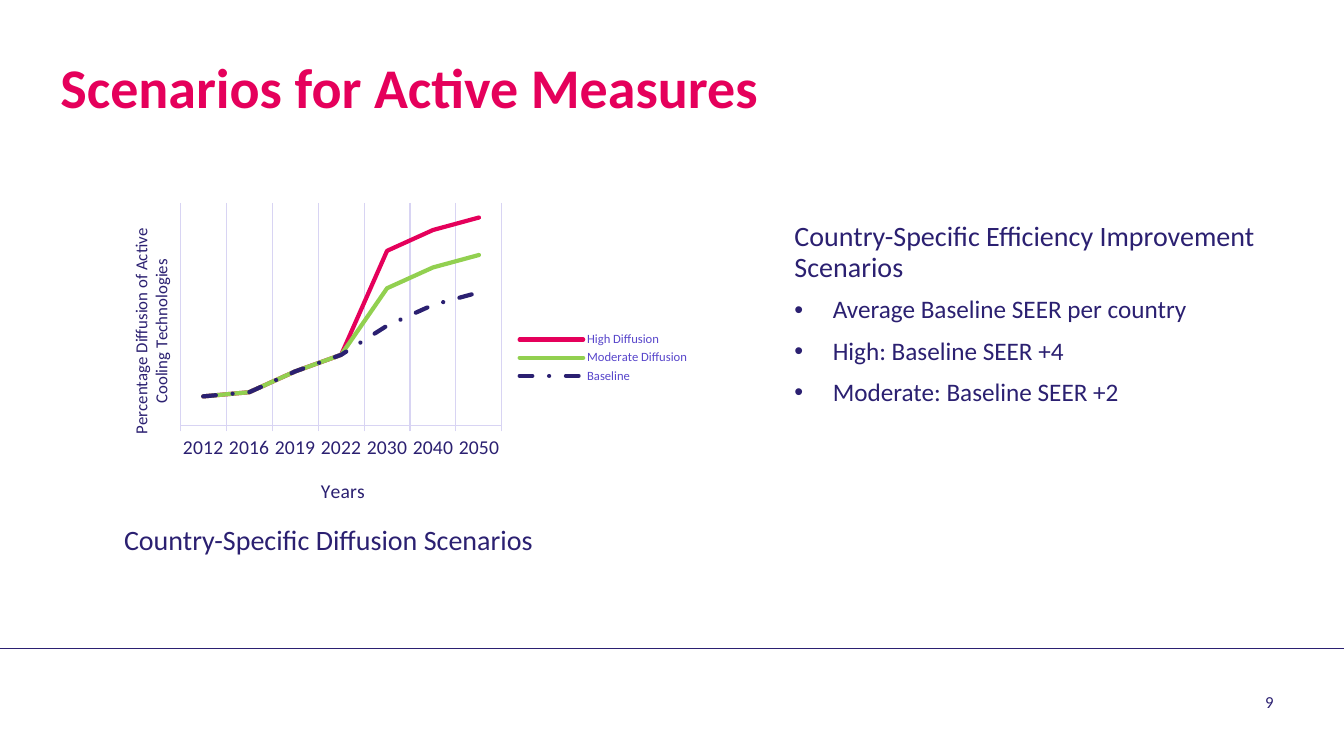
import pptx
import pptx.chart.data
import pptx.dml.color
import pptx.enum.chart
import pptx.enum.dml
import pptx.enum.text
import pptx.util
from lxml import etree
from pptx.oxml.ns import qn

Inches, Pt = pptx.util.Inches, pptx.util.Pt
ALIGN = pptx.enum.text.PP_ALIGN
ANCHOR = pptx.enum.text.MSO_ANCHOR

FONT = "Calibri"
COLORS = {"navy": "2B2071", "pink": "E5005B", "green": "92D050",
          "violet": "5846CB", "grid": "D8D4F3"}

TITLE = "Scenarios for Active Measures"
CAPTION = "Country-Specific Diffusion Scenarios"
EFFICIENCY_HEADING = "Country-Specific Efficiency Improvement Scenarios"
EFFICIENCY_SCENARIOS = [
    "Average Baseline SEER per country",
    "High: Baseline SEER +4",
    "Moderate: Baseline SEER +2",
]
PAGE_NUMBER = "9"
YEARS = ["2012", "2016", "2019", "2022", "2030", "2040", "2050"]
DIFFUSION = [
    ("High Diffusion", "pink", None, (14, 16, 26, 34, 84, 94, 100)),
    ("Moderate Diffusion", "green", None, (14, 16, 26, 34, 66, 76, 82)),
    ("Baseline", "navy", pptx.enum.dml.MSO_LINE.DASH_DOT,
     (14, 16, 26, 34, 48, 58, 64)),
]
AXIS_MAX = 107
YEARS_TITLE = "Years"
DIFFUSION_TITLE = "Percentage Diffusion of Active\nCooling Technologies"


def rgb(name):
    return pptx.dml.color.RGBColor.from_string(COLORS[name])


def style_font(font, size, color="navy", bold=False):
    font.name = FONT
    font.size = Pt(size)
    font.bold = bold
    font.color.rgb = rgb(color)


def style_line(line, color, width):
    line.color.rgb = rgb(color)
    line.width = Pt(width)


def add_text(box, paragraphs, inset=0, anchor=ANCHOR.TOP, align=ALIGN.LEFT,
             line_spacing=0.9, space_before=0):
    frame = slide.shapes.add_textbox(*map(Inches, box)).text_frame
    frame.word_wrap = True
    frame.vertical_anchor = anchor
    frame.margin_left = frame.margin_right = Inches(inset)
    frame.margin_top = frame.margin_bottom = Inches(inset / 2)
    for index, (text, size, color, bold) in enumerate(paragraphs):
        paragraph = frame.add_paragraph() if index else frame.paragraphs[0]
        paragraph.text = text
        paragraph.alignment = align
        paragraph.line_spacing = line_spacing
        paragraph.space_before = Pt(space_before)
        style_font(paragraph.font, size, color, bold)
    return frame


def add_bullet(paragraph):
    properties = paragraph._p.get_or_add_pPr()
    properties.set("marL", str(Inches(0.38)))
    properties.set("indent", str(-Inches(0.38)))
    font = etree.SubElement(properties, qn("a:buFont"))
    font.set("typeface", "Arial")
    etree.SubElement(properties, qn("a:buChar")).set("char", "•")


def place(element, index, target=None, **fractions):
    for old in element.findall(qn("c:layout")):
        element.remove(old)
    layout = etree.Element(qn("c:layout"))
    manual = etree.SubElement(layout, qn("c:manualLayout"))
    settings = {"layoutTarget": target} if target else {}
    settings.update(xMode="edge", yMode="edge", **fractions)
    for tag, value in settings.items():
        etree.SubElement(manual, qn("c:" + tag)).set("val", str(value))
    element.insert(index, layout)


def add_axis_title(axis, text, size, x, y):
    frame = axis.axis_title.text_frame
    frame.text = text
    for paragraph in frame.paragraphs:
        style_font(paragraph.font, size)
    place(axis.axis_title._element, 1, x=x, y=y)


def add_diffusion_chart():
    data = pptx.chart.data.CategoryChartData()
    data.categories = YEARS
    for name, _, _, values in DIFFUSION:
        data.add_series(name, values)
    chart = slide.shapes.add_chart(
        pptx.enum.chart.XL_CHART_TYPE.LINE,
        *map(Inches, (1.02, 1.95, 5.91, 3.2)), data).chart
    chart.has_title = False
    style_font(chart.font, 10)

    for series, (_, color, dash, _) in zip(chart.plots[0].series, DIFFUSION):
        series.smooth = False
        style_line(series.format.line, color, 3)
        if dash:
            series.format.line.dash_style = dash
        series._element.find(".//" + qn("a:ln")).set("cap", "rnd")

    years = chart.category_axis
    style_font(years.tick_labels.font, 14)
    years.major_tick_mark = pptx.enum.chart.XL_TICK_MARK.OUTSIDE
    years.has_major_gridlines = True
    style_line(years.format.line, "grid", 0.75)
    style_line(years.major_gridlines.format.line, "grid", 0.75)
    add_axis_title(years, YEARS_TITLE, 14, 0.36, 0.86)

    diffusion = chart.value_axis
    diffusion.minimum_scale = 0
    diffusion.maximum_scale = AXIS_MAX
    diffusion.has_major_gridlines = False
    diffusion.major_tick_mark = pptx.enum.chart.XL_TICK_MARK.NONE
    diffusion.tick_label_position = pptx.enum.chart.XL_TICK_LABEL_POSITION.NONE
    diffusion.format.line.fill.background()
    add_axis_title(diffusion, DIFFUSION_TITLE, 12, 0.04, 0.09)

    chart.has_legend = True
    chart.legend.position = pptx.enum.chart.XL_LEGEND_POSITION.RIGHT
    chart.legend.include_in_layout = False
    style_font(chart.legend.font, 9, "violet")
    place(chart.legend._element, 1, x=0.69, y=0.41, w=0.3, h=0.18)
    plot_area = chart._chartSpace.find(".//" + qn("c:plotArea"))
    place(plot_area, 0, "inner", x=0.13, y=0.02, w=0.54, h=0.69)


presentation = pptx.Presentation()
presentation.slide_width = Inches(13.33)
presentation.slide_height = Inches(7.5)
slide = presentation.slides.add_slide(presentation.slide_layouts[6])

footer_rule = slide.shapes.add_connector(
    pptx.enum.shapes.MSO_CONNECTOR.STRAIGHT,
    *map(Inches, (0, 6.43, 13.33, 6.43)))
style_line(footer_rule.line, "navy", 0.75)
etree.SubElement(footer_rule._element.spPr, qn("a:effectLst"))

add_text((0.6, 0.6, 12.13, 0.59), [(TITLE, 40, "pink", True)])
add_text((9.73, 6.43, 3, 1.07), [(PAGE_NUMBER, 12, "navy", False)],
         inset=0.1, anchor=ANCHOR.MIDDLE, align=ALIGN.RIGHT, line_spacing=1)
add_diffusion_chart()
add_text((1.23, 5.22, 4.39, 0.38), [(CAPTION, 20, "navy", False)],
         space_before=10)

efficiency = add_text(
    (7.88, 2.21, 4.57, 2.33),
    [(EFFICIENCY_HEADING, 20, "navy", False)]
    + [(scenario, 18, "navy", False) for scenario in EFFICIENCY_SCENARIOS],
    space_before=10)
for scenario in efficiency.paragraphs[1:]:
    add_bullet(scenario)

presentation.save("out.pptx")
